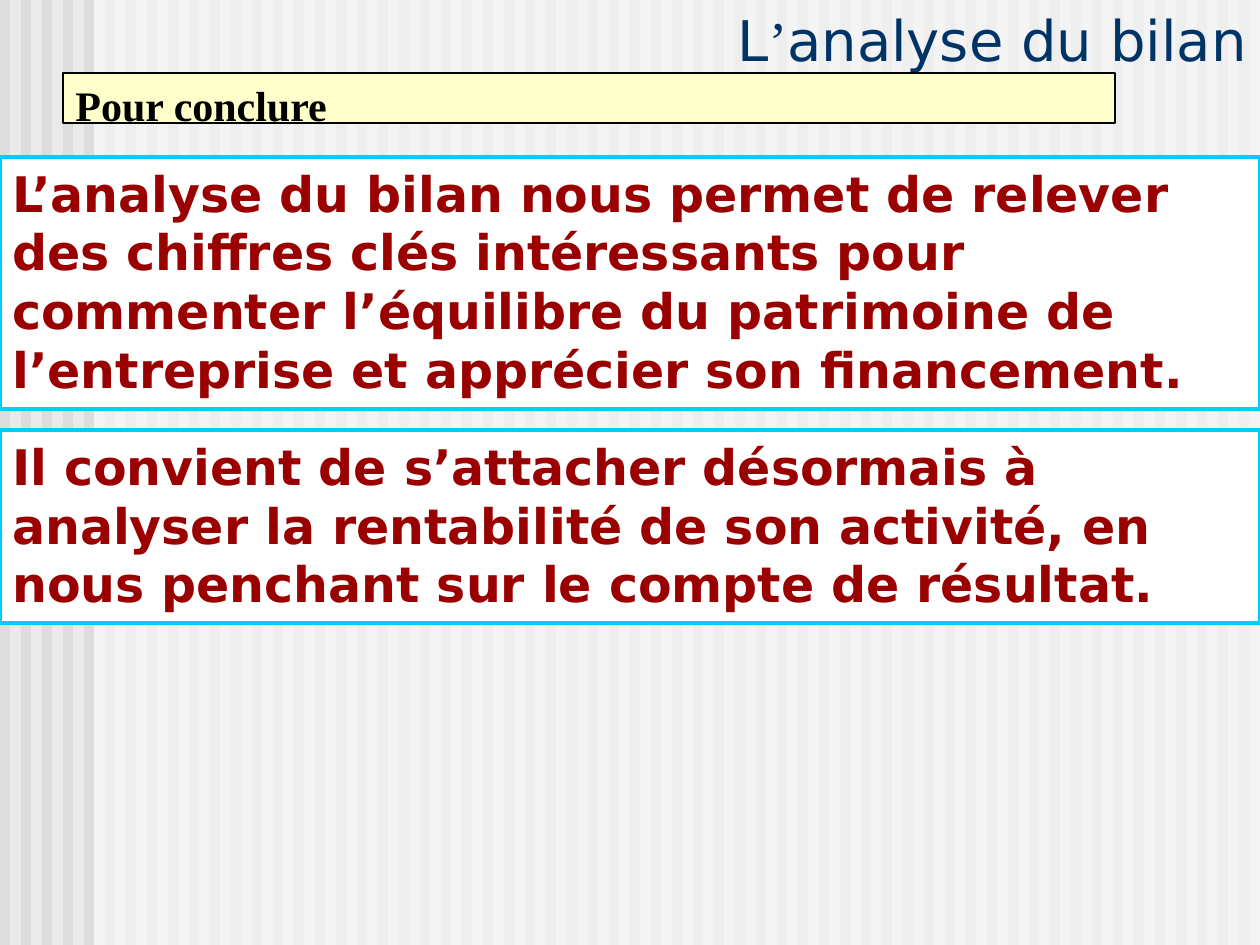
"""Build the closing slide of the balance sheet analysis."""
from lxml.etree import SubElement
from pptx import Presentation
from pptx.dml.color import RGBColor
from pptx.enum.shapes import MSO_SHAPE
from pptx.enum.text import MSO_ANCHOR, MSO_AUTO_SIZE, PP_ALIGN
from pptx.oxml.ns import qn
from pptx.util import Emu, Pt

COLOURS = {
    "background": "EAEAEA", "stripe": "DDDDDD", "white": "FFFFFF",
    "frame": "00CCFF", "statement": "9A0000", "title": "003366",
    "banner": "FFFFCC", "black": "000000",
}
SANS = "DejaVu Sans"
SERIF = "Times New Roman"
WIDTH, HEIGHT = 1260, 945
STRIPE, PITCH = 10, 21


def px(length):
    return Emu(round(length * 914400 / 126))


def colour(name):
    return RGBColor.from_string(COLOURS[name])


class SlideBuilder:
    def __init__(self, deck):
        self.page = deck.slides.add_slide(deck.slide_layouts[5])
        fill = self.page.background.fill
        fill.solid()
        fill.fore_color.rgb = colour("background")

    def rectangle(self, left, top, width, height, fill, line=None, weight=0, opacity=100):
        box = self.page.shapes.add_shape(
            MSO_SHAPE.RECTANGLE, px(left), px(top), px(width), px(height))
        box.shadow.inherit = False
        box.fill.solid()
        box.fill.fore_color.rgb = colour(fill)
        if opacity < 100:
            tint = box.element.spPr.find(qn("a:solidFill"))[0]
            SubElement(tint, qn("a:alpha"), val=str(opacity * 1000))
        if line:
            box.line.color.rgb = colour(line)
            box.line.width = Pt(weight)
        else:
            box.line.fill.background()
        return box

    def add_text(self, box, spans, size, shade, bold, align, anchor, fit):
        frame = box.text_frame
        frame.word_wrap = True
        frame.auto_size = fit
        frame.vertical_anchor = anchor
        para = frame.paragraphs[0]
        para.alignment = align
        for text, font in spans:
            span = para.add_run()
            span.text = text
            span.font.name = font
            span.font.size = Pt(size)
            span.font.bold = bold
            span.font.color.rgb = colour(shade)

    def stripes(self):
        for left in range(0, WIDTH, PITCH):
            self.rectangle(left, 0, STRIPE, HEIGHT, "stripe")
        self.rectangle(94, 0, WIDTH - 94, HEIGHT, "white", opacity=50)

    def statement(self, top, height, text):
        box = self.rectangle(0, top, WIDTH, height, "white", "frame", 2.25)
        self.add_text(box, [(text, SANS)], 28, "statement", True, PP_ALIGN.LEFT,
                      MSO_ANCHOR.TOP, MSO_AUTO_SIZE.SHAPE_TO_FIT_TEXT)

    def title(self, left, top, width, height, spans):
        box = self.page.shapes.title
        box.left, box.top, box.width, box.height = map(px, (left, top, width, height))
        self.page.shapes.element.append(box.element)
        self.add_text(box, spans, 32, "title", False, PP_ALIGN.RIGHT,
                      MSO_ANCHOR.BOTTOM, MSO_AUTO_SIZE.NONE)

    def banner(self, left, top, width, height, text):
        box = self.rectangle(left, top, width, height, "banner", "black", 0.75)
        self.add_text(box, [(text, SERIF)], 24, "black", True, PP_ALIGN.LEFT,
                      MSO_ANCHOR.TOP, MSO_AUTO_SIZE.NONE)


def main():
    deck = Presentation()
    deck.slide_width, deck.slide_height = px(WIDTH), px(HEIGHT)
    builder = SlideBuilder(deck)
    builder.stripes()
    builder.statement(157, 252, "L’analyse du bilan nous permet de relever des chiffres clés "
                      "intéressants pour commenter l’équilibre du patrimoine de "
                      "l’entreprise et apprécier son financement.")
    builder.statement(430, 193, "Il convient de s’attacher désormais à analyser la rentabilité "
                      "de son activité, en nous penchant sur le compte de résultat.")
    builder.title(135, 0, 1125, 79, [("L", SANS), ("’", SERIF), ("analyse du bilan", SANS)])
    builder.banner(63, 73, 1052, 50, "Pour conclure")
    deck.save("out.pptx")


if __name__ == "__main__":
    main()
